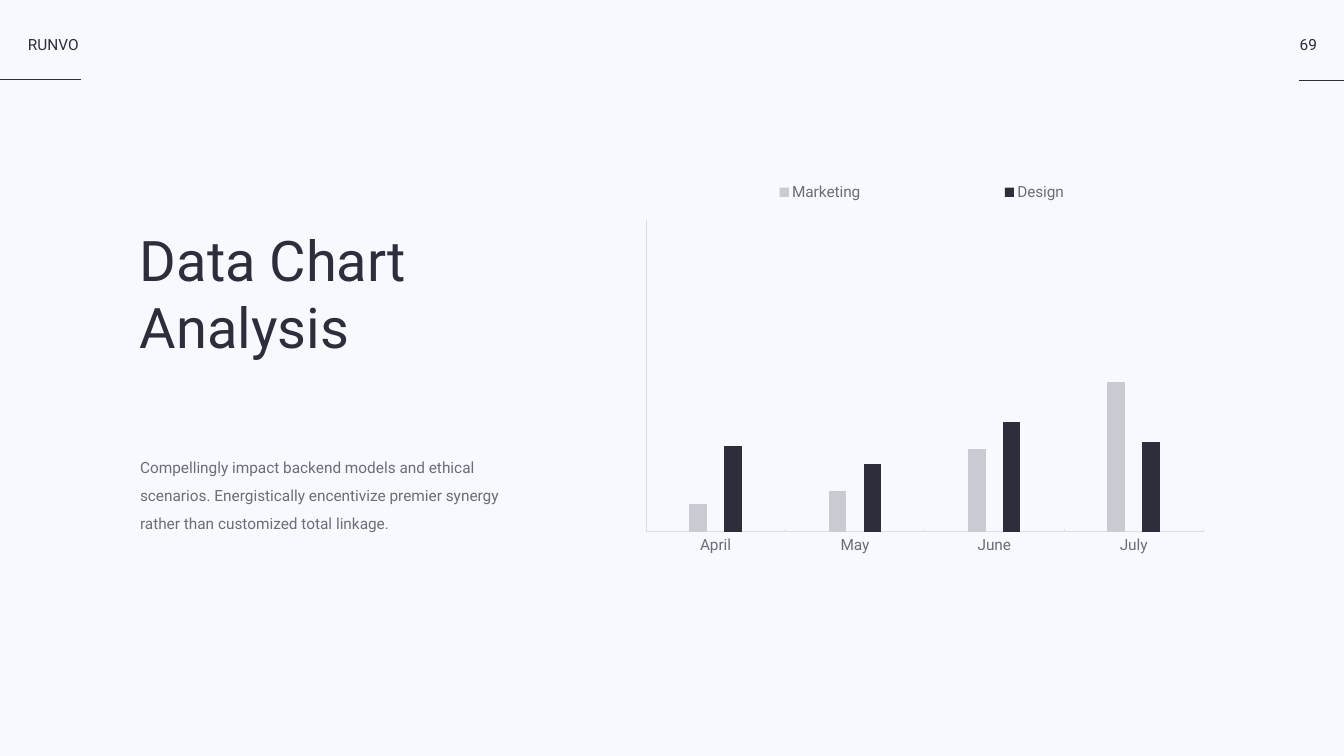
from lxml.etree import SubElement
from pptx import Presentation
from pptx.chart.data import CategoryChartData
from pptx.dml.color import RGBColor
from pptx.enum.chart import XL_CHART_TYPE, XL_LEGEND_POSITION, XL_TICK_LABEL_POSITION, XL_TICK_MARK
from pptx.enum.text import MSO_AUTO_SIZE, PP_ALIGN
from pptx.oxml.ns import qn
from pptx.util import Pt

INK = RGBColor(0x2C, 0x2E, 0x3C)
GRAY = RGBColor(0x6A, 0x6E, 0x77)
PALE = RGBColor(0xC8, 0xCB, 0xD1)
RULE = RGBColor(0xDC, 0xDE, 0xE0)
BACK = RGBColor(0xF7, 0xF9, 0xFF)


def apply(target, values):
    """Set each named value on the target."""
    for name, value in values.items():
        setattr(target, name, value)


class Deck:
    """Hold the style and the current slide."""

    def __init__(self, slide, face="Roboto"):
        self.slide = slide
        self.face = face
        fill = slide.background.fill
        fill.solid()
        fill.fore_color.rgb = BACK

    def style(self, font, size, color):
        """Style a font."""
        apply(font, {"name": self.face, "size": Pt(size)})
        font.color.rgb = color

    def text(self, box, lines, size=22, color=INK, **form):
        """Add a text box with one paragraph per line."""
        frame = self.slide.shapes.add_textbox(*map(Pt, box)).text_frame
        sides = ("left", "top", "right", "bottom")
        apply(frame, {f"margin_{side}": 0 for side in sides})
        apply(frame, {"word_wrap": False, "auto_size": MSO_AUTO_SIZE.SHAPE_TO_FIT_TEXT})
        frame.text = "\n".join(lines)
        for para in frame.paragraphs:
            apply(para, form)
            for run in para.runs:
                self.style(run.font, size, color)

    def line(self, left, right, top):
        """Add a level line."""
        line = self.slide.shapes.add_connector(1, Pt(left), Pt(top), Pt(right), Pt(top))
        line.line.width = Pt(2)
        line.line.color.rgb = INK
        SubElement(line._element.spPr, qn("a:effectLst"))

    def place(self, node, spots, inner=False):
        """Give a chart part a fixed layout."""
        base = node.find(qn("c:layout"))
        if base is None:
            base = SubElement(node, qn("c:layout"))
        node.remove(base)
        node.insert(1 if node.tag == qn("c:legend") else 0, base)
        part = SubElement(base, qn("c:manualLayout"))
        items = [("layoutTarget", "inner")] if inner else []
        items += [("xMode", "edge"), ("yMode", "edge"), *zip("xywh", spots)]
        for name, value in items:
            SubElement(part, qn(f"c:{name}")).set("val", str(value))

    def axis(self, axis, size, **form):
        """Style a chart axis."""
        apply(axis, {"has_major_gridlines": False, "minor_tick_mark": XL_TICK_MARK.NONE, **form})
        self.style(axis.tick_labels.font, size, GRAY)
        axis.format.line.width = Pt(1)
        axis.format.line.color.rgb = RULE

    def chart(self, box, names, series):
        """Add a column chart with a legend on top."""
        data = CategoryChartData()
        data.categories = names
        for name, color, values in series:
            data.add_series(name, values)
        chart = self.slide.shapes.add_chart(
            XL_CHART_TYPE.COLUMN_CLUSTERED, *map(Pt, box), data).chart
        apply(chart, {"has_title": False, "has_legend": True})
        apply(chart.font, {"name": "Arial", "size": Pt(10)})
        apply(chart.legend, {"position": XL_LEGEND_POSITION.TOP, "include_in_layout": True})
        self.style(chart.legend.font, 22, GRAY)
        plot = chart.plots[0]
        apply(plot, {"gap_width": 500, "overlap": -100, "vary_by_categories": False})
        for bars, (name, color, values) in zip(plot.series, series):
            bars.format.fill.solid()
            bars.format.fill.fore_color.rgb = color
        self.axis(chart.category_axis, 22, major_tick_mark=XL_TICK_MARK.INSIDE,
                  tick_label_position=XL_TICK_LABEL_POSITION.LOW)
        self.axis(chart.value_axis, 11, major_tick_mark=XL_TICK_MARK.NONE,
                  tick_label_position=XL_TICK_LABEL_POSITION.NONE,
                  minimum_scale=0, maximum_scale=208, major_unit=104)
        self.place(chart.legend._element, (0.01, 0, 0.99, 0.08))
        self.place(chart._chartSpace.chart.plotArea, (0.02, 0.11, 0.98, 0.8), True)


def main():
    """Build the slide."""
    prs = Presentation()
    apply(prs, {"slide_width": Pt(1920), "slide_height": Pt(1080)})
    deck = Deck(prs.slides.add_slide(prs.slide_layouts[6]))
    deck.line(0, 116, 114)
    deck.text((40, 50, 76, 29), ["RUNVO"])
    deck.line(1856, 1920, 115)
    deck.text((1856, 50, 26, 29), ["69"], alignment=PP_ALIGN.CENTER)
    deck.text((200, 322.5, 405, 212), ["Data Chart", "Analysis"], 80)
    deck.text((200, 641.5, 514, 116), [
        "Compellingly impact backend models and ethical",
        "scenarios. Energistically encentivize premier synergy",
        "rather than customized total linkage.",
    ], color=GRAY, line_spacing=1.5)
    deck.chart((906.5, 252.5, 813, 557), ["April", "May", "June", "July"], [
        ("Marketing", PALE, (18, 27, 55, 100)),
        ("Design", INK, (57, 45, 73, 60)),
    ])
    prs.save("out.pptx")


if __name__ == "__main__":
    main()
